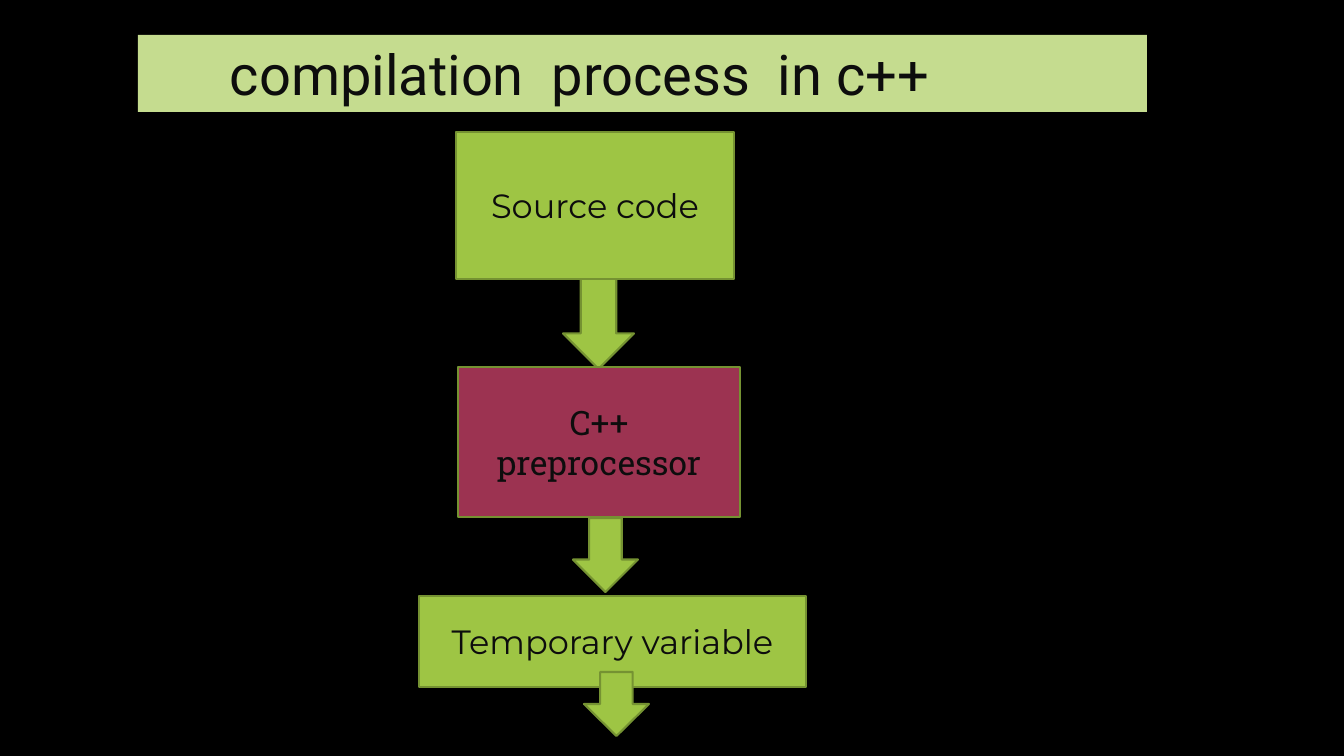
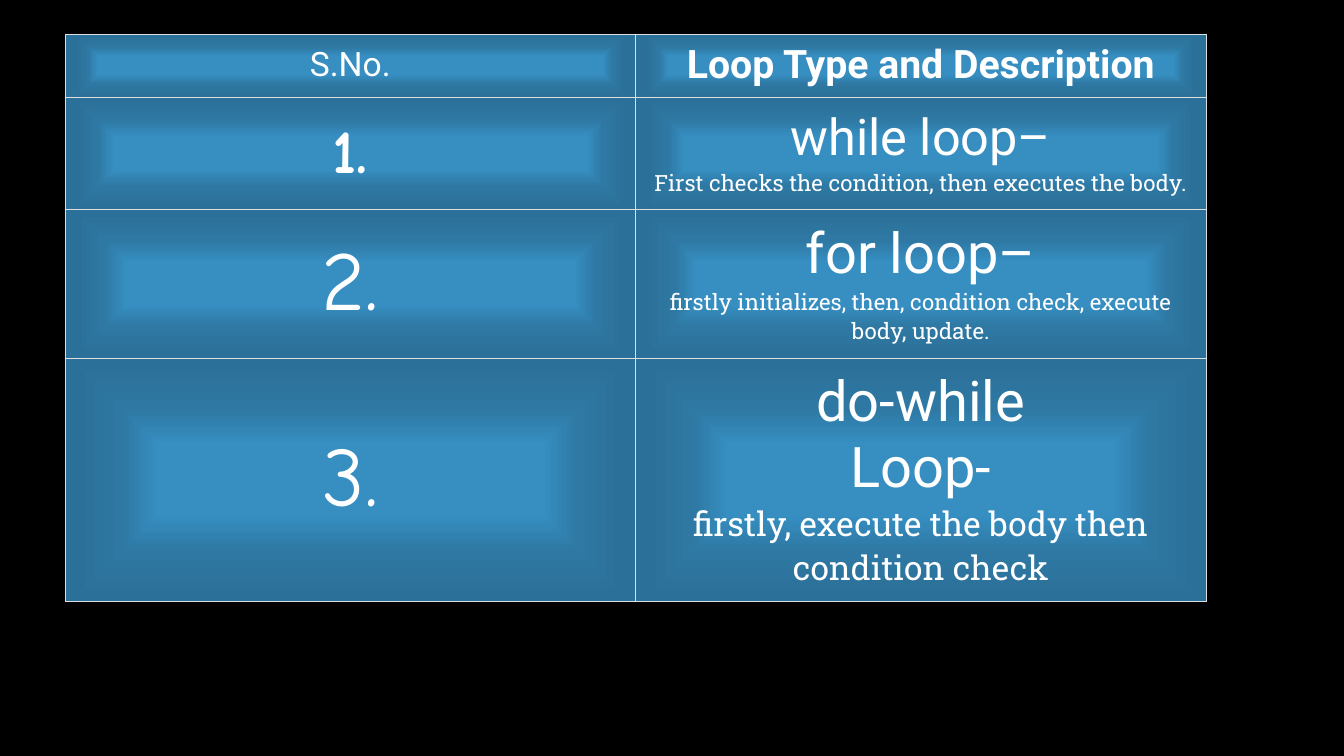
from lxml.etree import SubElement
from pptx import Presentation
from pptx.dml.color import RGBColor
from pptx.enum.shapes import MSO_SHAPE
from pptx.enum.text import MSO_ANCHOR, PP_ALIGN
from pptx.oxml.ns import qn
from pptx.util import Emu, Pt

EMU_PER_PX = 914400 / 100.8
COLOURS = {
    "background": "000000",
    "title_band": "C5DC8F",
    "green": "9EC544",
    "outline": "759232",
    "crimson": "9C3351",
    "dark_text": "0D0D0D",
    "light_text": "FFFFFF",
    "cell_border": "DFDFDF",
    "cell_centre": "368EC1",
    "cell_middle": "2E78A3",
    "cell_edge": "2B7098",
}
CELL_GRADIENT = [(0, "cell_centre"), (29, "cell_centre"), (59, "cell_middle"), (96, "cell_edge")]
BORDER_WIDTH = Pt(0.18)

SANS, SLAB, ROUND, GEOMETRIC = "Roboto", "Roboto Slab", "Comic Neue", "Montserrat"

# Each line of a cell: text, size, font, bold
LOOP_ROWS = [
    (63, [("S.No.", 24, SANS, False)],
     [("Loop Type and Description", 28, SANS, True)]),
    (111, [("1.", 44, ROUND, True)],
     [("while loop–", 36, SANS, False),
      ("First checks the condition, then executes the body.", 16, SLAB, False)]),
    (145, [("2.", 60, ROUND, False)],
     [("for loop–", 40, SANS, False),
      ("firstly initializes, then, condition check, execute body, update.", 16, SLAB, False)]),
    (238, [("3.", 60, ROUND, False)],
     [("do-while", 40, SANS, False),
      ("Loop-", 40, SANS, False),
      ("firstly, execute the body then condition check", 24, SLAB, False)]),
]


def px(length):
    return Emu(round(length * EMU_PER_PX))


def rgb(name):
    return RGBColor.from_string(COLOURS[name])


def add_page(deck):
    page = deck.slides.add_slide(deck.slide_layouts[6])
    page.background.fill.solid()
    page.background.fill.fore_color.rgb = rgb("background")
    return page


def style_para(para, text, size, font, colour, bold=False, align=PP_ALIGN.CENTER):
    para.text = text
    para.alignment = align
    para.font.size = Pt(size)
    para.font.name = font
    para.font.bold = bold
    para.font.color.rgb = rgb(colour)


def add_filled_shape(page, preset, place, fill, outline=None):
    shape = page.shapes.add_shape(preset, *map(px, place))
    shape.shadow.inherit = False
    shape.fill.solid()
    shape.fill.fore_color.rgb = rgb(fill)
    if outline:
        shape.line.color.rgb = rgb(outline)
        shape.line.width = Pt(1.5)
    else:
        shape.line.fill.background()
    return shape


def add_title_band(page, text, place, indent):
    band = add_filled_shape(page, MSO_SHAPE.RECTANGLE, place, "title_band")
    frame = band.text_frame
    frame.vertical_anchor = MSO_ANCHOR.TOP
    frame.margin_left = px(indent)
    style_para(frame.paragraphs[0], text, 40, SANS, "dark_text", align=PP_ALIGN.LEFT)


def add_step(page, text, place, font, fill="green"):
    box = add_filled_shape(page, MSO_SHAPE.RECTANGLE, place, fill, "outline")
    style_para(box.text_frame.paragraphs[0], text, 24, font, "dark_text")


def add_down_arrow(page, place):
    add_filled_shape(page, MSO_SHAPE.DOWN_ARROW, place, "green", "outline")


def add_colour(parent, name):
    SubElement(parent, qn("a:srgbClr"), val=COLOURS[name])


def paint_cell(cell):
    """Give the cell thin borders and a gradient that darkens from the centre out."""
    properties = cell._tc.get_or_add_tcPr()
    for side in ("L", "R", "T", "B"):
        border = SubElement(properties, qn(f"a:ln{side}"), w=str(BORDER_WIDTH))
        add_colour(SubElement(border, qn("a:solidFill")), "cell_border")
    gradient = SubElement(properties, qn("a:gradFill"), rotWithShape="1")
    stops = SubElement(gradient, qn("a:gsLst"))
    for percent, name in CELL_GRADIENT:
        add_colour(SubElement(stops, qn("a:gs"), pos=str(percent * 1000)), name)
    shade = SubElement(gradient, qn("a:path"), {"path": "rect"})
    SubElement(shade, qn("a:fillToRect"), dict.fromkeys("ltrb", "50000"))


def fill_cell(cell, lines, side_margin, end_margin):
    cell.margin_left = cell.margin_right = px(side_margin)
    cell.margin_top = cell.margin_bottom = px(end_margin)
    cell.vertical_anchor = MSO_ANCHOR.MIDDLE
    frame = cell.text_frame
    for index, (text, size, font, bold) in enumerate(lines):
        para = frame.add_paragraph() if index else frame.paragraphs[0]
        style_para(para, text, size, font, "light_text", bold)
    paint_cell(cell)


def add_loop_table(page, left, top, width):
    height = sum(row[0] for row in LOOP_ROWS)
    table = page.shapes.add_table(
        len(LOOP_ROWS), 2, px(left), px(top), px(width), px(height)).table
    table.first_row = table.horz_banding = False
    for row_index, (row_height, *cells) in enumerate(LOOP_ROWS):
        table.rows[row_index].height = px(row_height)
        end_margin = 12 if row_index else 8
        for column_index, lines in enumerate(cells):
            fill_cell(table.cell(row_index, column_index), lines, 8, end_margin)


def build_compilation_page(deck):
    page = add_page(deck)
    add_title_band(page, "compilation  process  in c++", (138, 35, 1009, 77), 92)
    add_down_arrow(page, (563, 279, 71, 90))
    add_step(page, "Source code", (456, 132, 278, 147), GEOMETRIC)
    add_step(page, "C++ preprocessor", (458, 367, 282, 150), SLAB, "crimson")
    add_down_arrow(page, (573, 518, 65, 74))
    add_step(page, "Temporary variable", (419, 596, 387, 91), GEOMETRIC)
    add_down_arrow(page, (584, 672, 65, 64))


def build_loops_page(deck):
    add_loop_table(add_page(deck), 65, 34, 1141)


def main():
    deck = Presentation()
    deck.slide_width, deck.slide_height = px(1344), px(756)
    build_compilation_page(deck)
    build_loops_page(deck)
    deck.save("out.pptx")


if __name__ == "__main__":
    main()
